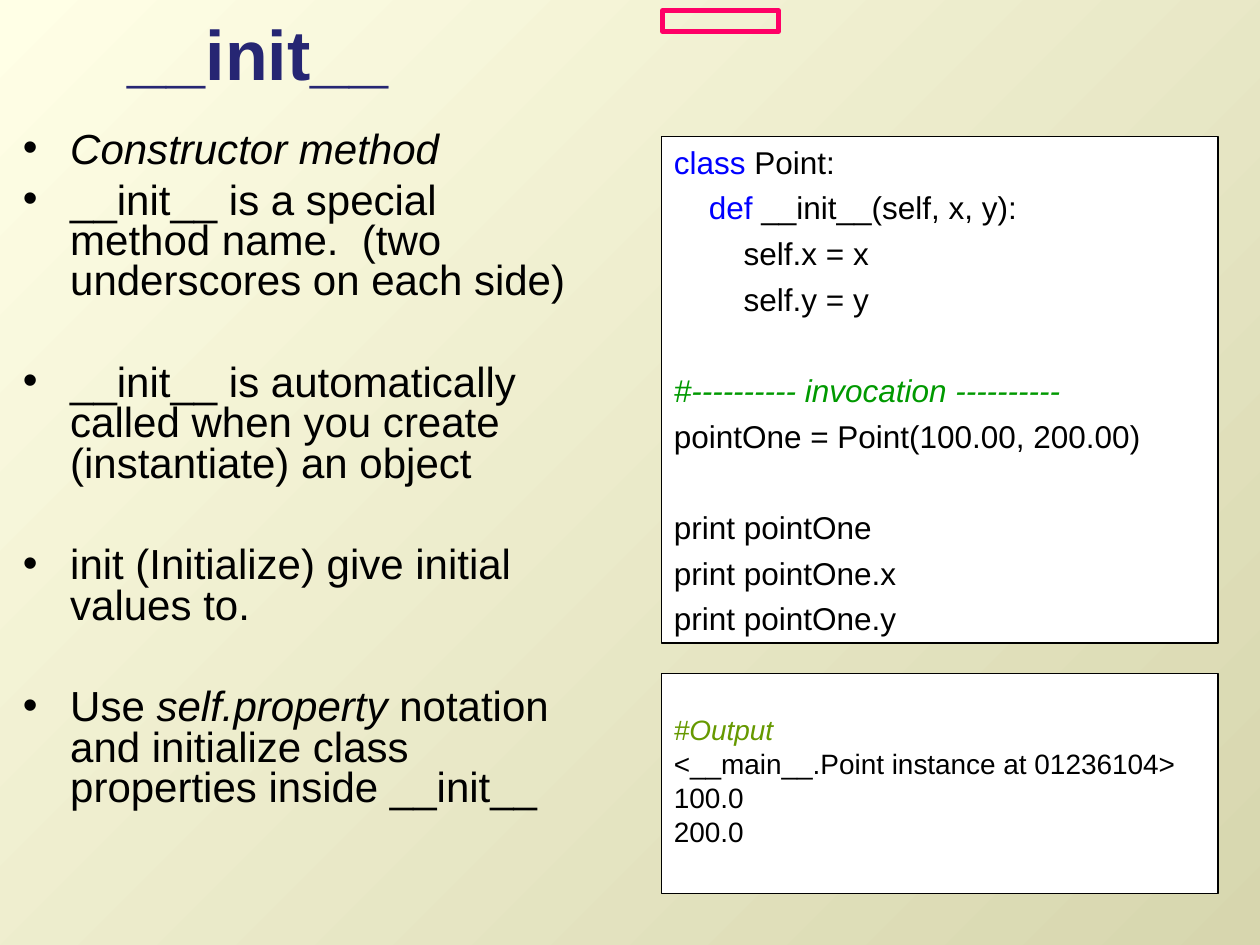
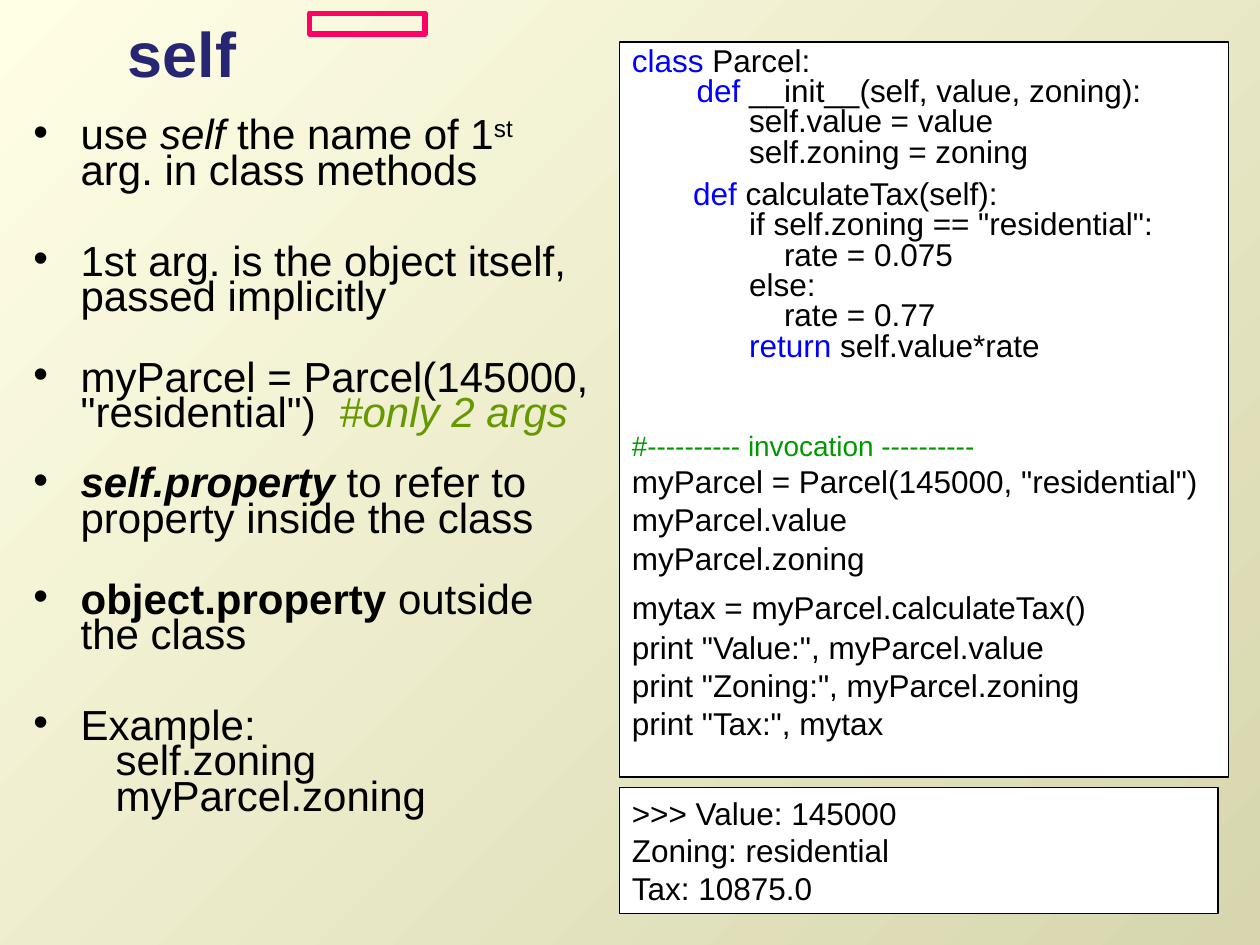
"""Build two slides on Python constructors and the self argument."""
from lxml.etree import SubElement
from pptx import Presentation
from pptx.dml.color import RGBColor
from pptx.enum.shapes import MSO_SHAPE as SHAPE
from pptx.enum.text import MSO_ANCHOR as ANCHOR
from pptx.oxml.ns import qn
from pptx.util import Pt

PX = 9525
FONT = "Arial"
CREAM = RGBColor(0xFF, 0xFF, 0xE6)
KHAKI = RGBColor(0xD7, 0xD6, 0xAE)
NAVY = RGBColor(0x26, 0x26, 0x73)
BLACK = RGBColor(0, 0, 0)
WHITE = RGBColor(0xFF, 0xFF, 0xFF)
BLUE = RGBColor(0, 0, 0xFF)
GREEN = RGBColor(0, 0x99, 0)
OLIVE = RGBColor(0x66, 0x99, 0)
PINK = RGBColor(0xFF, 0, 0x66)

BOLD = dict(bold=True)
ITALIC = dict(italic=True)
KEYWORD = dict(color=BLUE)
HANGING = 36


def add_box(slide, bounds, fill=None, line=BLACK, weight=0.75):
    box = slide.shapes.add_shape(SHAPE.RECTANGLE, *(n * PX for n in bounds))
    box.shadow.inherit = False
    if fill is None:
        box.fill.background()
    else:
        box.fill.solid()
        box.fill.fore_color.rgb = fill
    if line is None:
        box.line.fill.background()
    else:
        box.line.color.rgb = line
        box.line.width = Pt(weight)
    frame = box.text_frame
    frame.word_wrap = True
    frame.vertical_anchor = ANCHOR.TOP
    return frame


def add_text(frame, *runs, size=18, before=0, spacing=1.0, hanging=0,
             bullet=False, **style):
    paragraph = frame.paragraphs[0]
    if paragraph.runs:
        paragraph = frame.add_paragraph()
        paragraph.space_before = Pt(before)
    paragraph.alignment = 1
    paragraph.line_spacing = spacing
    properties = paragraph._p.get_or_add_pPr()
    properties.set("marL", str(hanging * PX))
    properties.set("indent", str(-hanging * PX))
    if bullet:
        SubElement(properties, qn("a:buFont"), typeface=FONT)
        SubElement(properties, qn("a:buChar"), char="•")
    for item in runs:
        text, own = (item, {}) if isinstance(item, str) else item
        look = {"color": BLACK, **style, **own}
        for number, line in enumerate(text.split("\n")):
            if number:
                paragraph.add_line_break()
            if not line:
                continue
            run = paragraph.add_run()
            run.text = line
            run.font.name = FONT
            run.font.size = Pt(size)
            run.font.color.rgb = look["color"]
            run.font.bold = look.get("bold", False)
            run.font.italic = look.get("italic", False)
            if "baseline" in look:
                run._r.get_or_add_rPr().set("baseline", look["baseline"])


deck = Presentation()
deck.slide_width, deck.slide_height = 960 * PX, 720 * PX
backdrop = deck.slide_master.background.fill
backdrop.gradient()
backdrop.gradient_angle = 315
for stop, color, position in zip(backdrop.gradient_stops, (CREAM, KHAKI), (0, 1)):
    stop.color.rgb = color
    stop.position = position

slides = []
for heading, size, marker in (("__init__", 40, (505, 8, 88, 16)),
                              ("self", 36, (236, 10, 88, 16))):
    slide = deck.slides.add_slide(deck.slide_layouts[6])
    title = add_box(slide, (88, 16, 840, 48), line=None)
    title.vertical_anchor = ANCHOR.MIDDLE
    add_text(title, heading, size=size, color=NAVY, bold=True)
    add_box(slide, marker, line=PINK, weight=3)
    slides.append(slide)
init_slide, self_slide = slides

init_points = add_box(init_slide, (8, 96, 448, 568), line=None)
for before, runs in (
    (0, [("Constructor method", ITALIC)]),
    (6, ["__init__ is a special method name.  (two underscores on each side)"]),
    (35, ["__init__ is automatically called when you create (instantiate) an object"]),
    (35, ["init (Initialize) give initial values to."]),
    (35, ["Use ", ("self.property ", ITALIC),
          "notation and initialize class properties inside __init__"]),
):
    add_text(init_points, *runs, size=24, before=before, spacing=0.8,
             hanging=HANGING, bullet=True)

point_code = add_box(init_slide, (504, 104, 424, 386), fill=WHITE)
for before, runs in (
    (0, [("class ", KEYWORD), "Point:"]),
    (4.5, [("    def ", KEYWORD), "__init__(self, x, y):"]),
    (4.5, ["        self.x = x"]),
    (4.5, ["        self.y = y"]),
    (30.5, [("#---------- invocation ----------", dict(color=GREEN, italic=True))]),
    (4.5, ["pointOne = Point(100.00, 200.00)"]),
    (30.5, ["print pointOne"]),
    (4.5, ["print pointOne.x"]),
    (4.5, ["print pointOne.y"]),
):
    add_text(point_code, *runs, before=before)

point_output = add_box(init_slide, (504, 513, 424, 168), fill=WHITE)
point_output.vertical_anchor = ANCHOR.MIDDLE
add_text(point_output, "#Output", size=16, spacing=0.8, color=OLIVE, italic=True)
for result in ("<__main__.Point instance at 01236104>", "100.0", "200.0"):
    add_text(point_output, result, size=16, before=4, spacing=0.8)

parcel_code = add_box(self_slide, (472, 32, 464, 560), fill=WHITE)
for before, size, runs in (
    (0, 18, [("class", KEYWORD), " Parcel:\n  ", ("def", KEYWORD),
             " __init__(self, value, zoning):\n"
             "        self.value = value\n"
             "        self.zoning = zoning"]),
    (7, 18, [("       def ", KEYWORD),
             "calculateTax(self):\n"
             "        if self.zoning == \"residential\":\n"
             "            rate = 0.075\n"
             "        else:\n"
             "            rate = 0.77\n",
             ("        return", KEYWORD), " self.value*rate"]),
    (41, 16, [("#---------- invocation ----------", dict(color=GREEN))]),
    (4.5, 18, ["myParcel = Parcel(145000, \"residential\")"]),
    (4.5, 18, ["myParcel.value"]),
    (4.5, 18, ["myParcel.zoning"]),
    (11, 18, ["mytax = myParcel.calculateTax()"]),
    (5.5, 18, ["print \"Value:\", myParcel.value"]),
    (4.5, 18, ["print \"Zoning:\", myParcel.zoning"]),
    (4.5, 18, ["print \"Tax:\", mytax"]),
):
    add_text(parcel_code, *runs, size=size, before=before, spacing=0.8,
             hanging=HANGING)

self_points = add_box(self_slide, (16, 88, 448, 632), line=None)
for before, runs in (
    (0, ["use ", ("self", ITALIC), " the name of 1", ("st", dict(baseline="30000")),
         " arg. in class methods"]),
    (32, ["1st arg. is the object itself, passed implicitly"]),
    (26, ["myParcel = Parcel(145000, \"residential\")  ",
          ("#only 2 args", dict(color=OLIVE, italic=True))]),
    (20, [("self.property", dict(bold=True, italic=True)),
          " to refer to property inside the class"]),
    (26, [("object.property ", BOLD), "outside the class"]),
    (32, ["Example:\n   self.zoning\n   myParcel.zoning"]),
):
    add_text(self_points, *runs, size=24, before=before, spacing=0.7,
             hanging=HANGING, bullet=True)

parcel_output = add_box(self_slide, (472, 600, 456, 96), fill=WHITE)
add_text(parcel_output, ">>> Value: 145000\nZoning: residential\nTax: 10875.0")

deck.save("out.pptx")
